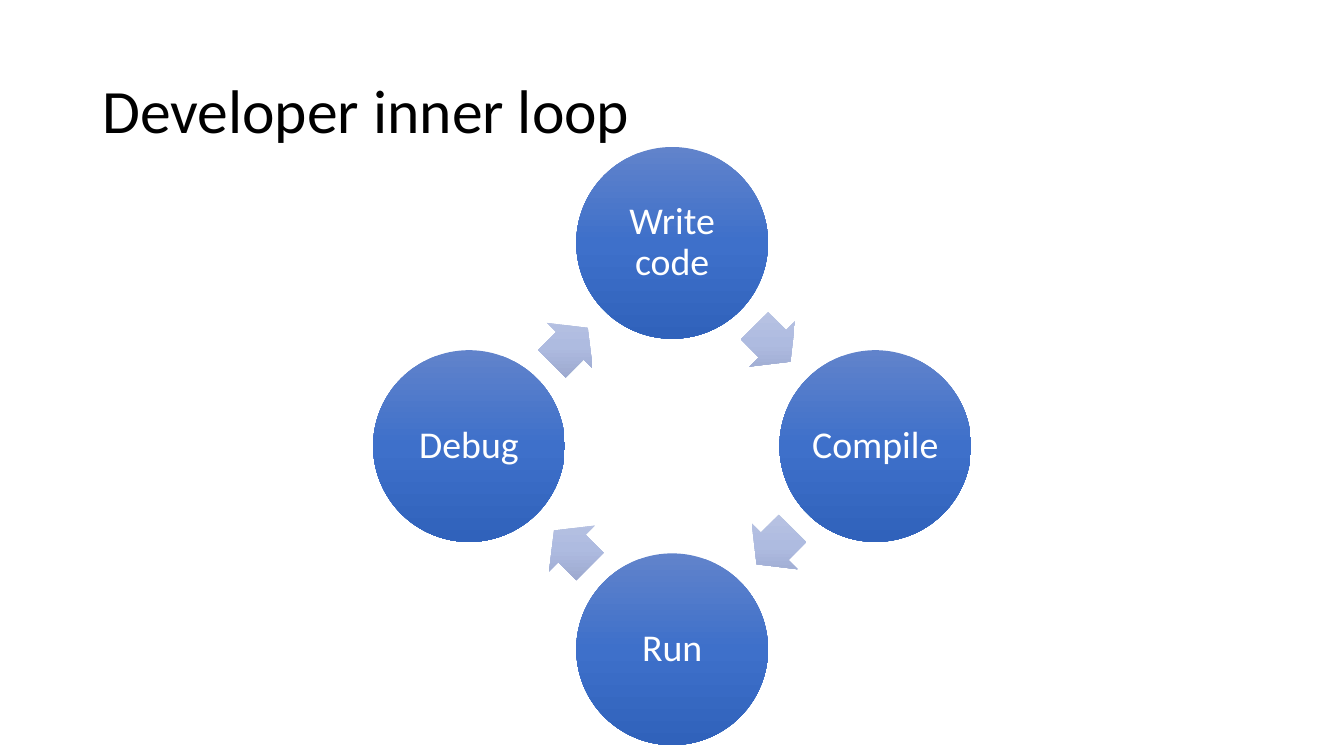
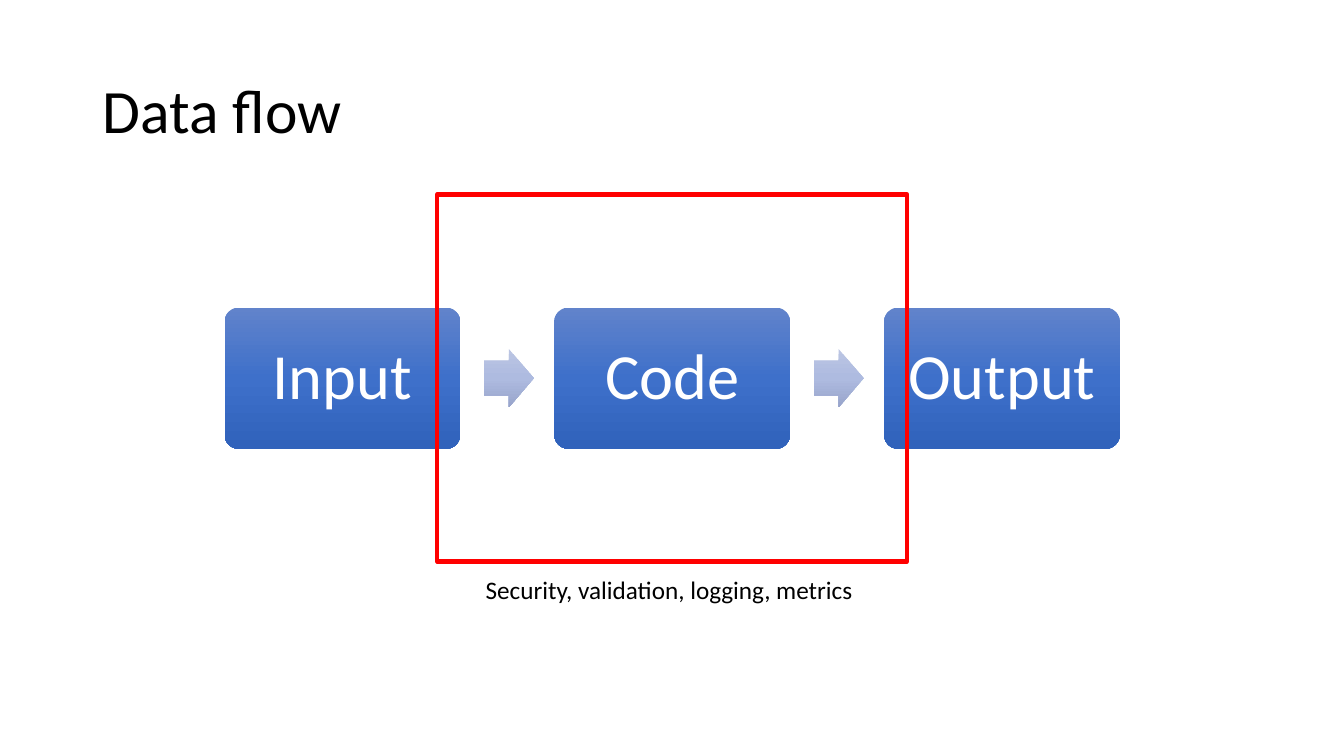
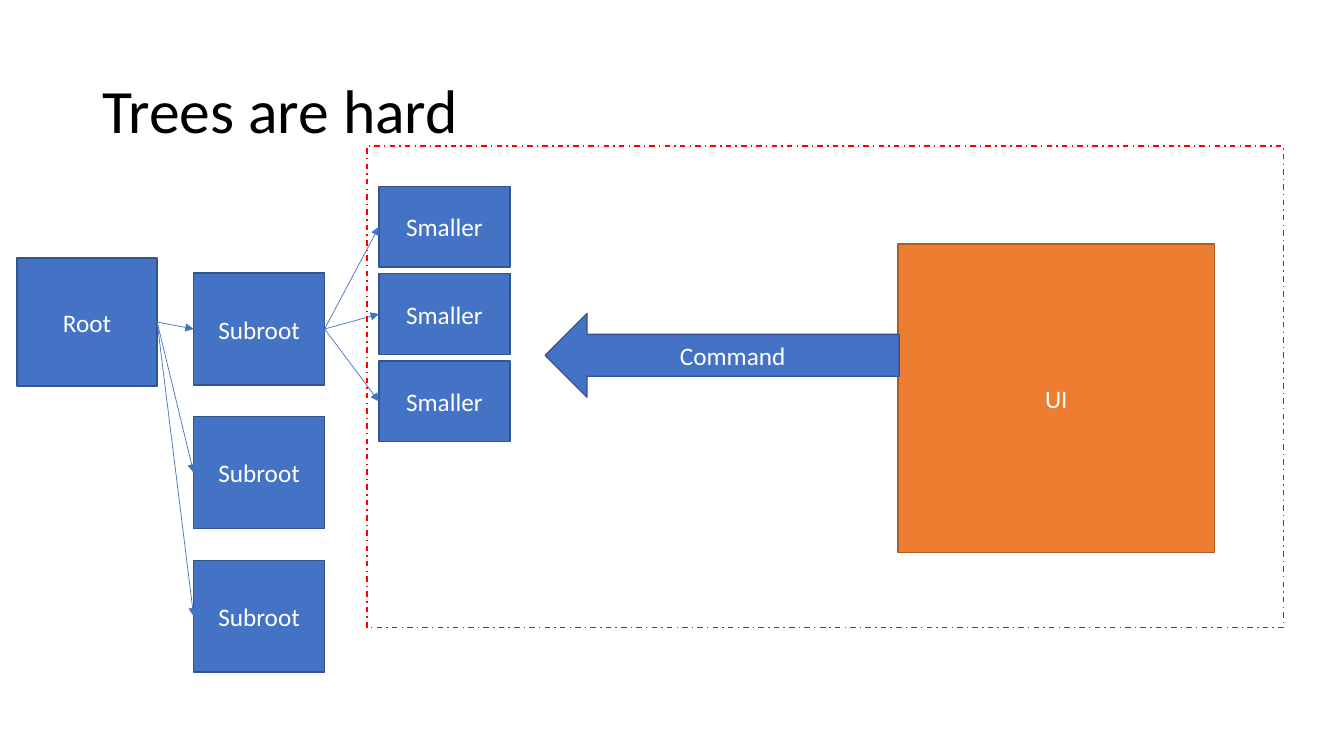
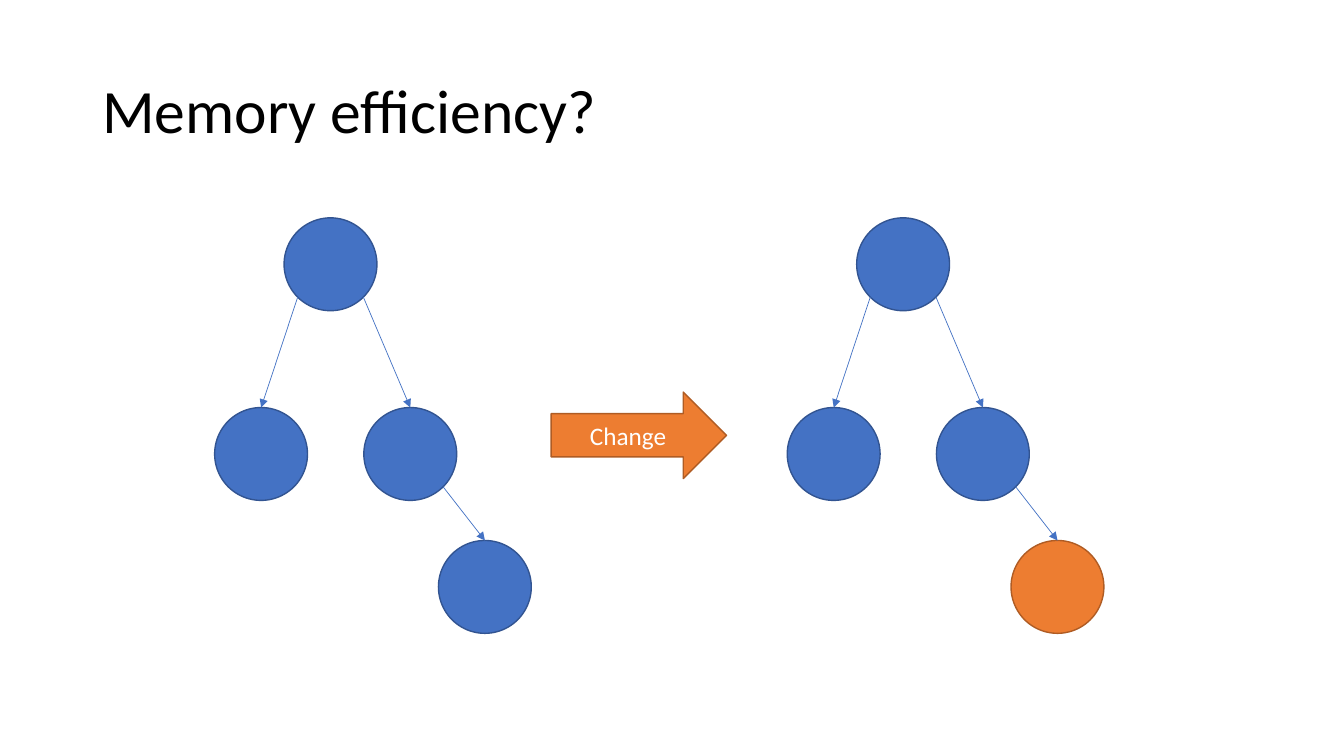
from copy import deepcopy
from math import cos, radians, sin, sqrt

from pptx import Presentation
from pptx.dml.color import RGBColor
from pptx.enum.dml import MSO_LINE_DASH_STYLE as DASH
from pptx.enum.shapes import MSO_CONNECTOR as CONN
from pptx.enum.shapes import MSO_SHAPE as SHAPE
from pptx.enum.text import MSO_ANCHOR as ANCHOR
from pptx.enum.text import PP_ALIGN as ALIGN
from pptx.oxml.ns import qn
from pptx.oxml.xmlchemy import OxmlElement
from pptx.util import Cm, Pt

FONT = "Calibri"
BLACK, WHITE, RED = "000000", "FFFFFF", "FF0000"
BLUE, BLUE_EDGE = "4472C4", "325491"
ORANGE, ORANGE_EDGE = "ED7D31", "AF5C24"
NODE_SHADES = ["6183CB", "3E70CA", "3062BB"]
ARROW_SHADES = ["BBC5E3", "AEBBE0", "98A4CB"]


def rgb(value):
    return RGBColor.from_string(value)


def write(tf, text, size, color, align=ALIGN.CENTER, spacing=1.0):
    tf.word_wrap = True
    p = tf.paragraphs[0]
    p.text = text
    p.alignment = align
    p.line_spacing = spacing
    p.font.size = Pt(size)
    for r in p.runs:
        r.font.name = FONT
        r.font.size = Pt(size)
        r.font.color.rgb = rgb(color)


def add_text(slide, text, x, y, w, h, size, **style):
    tf = slide.shapes.add_textbox(Cm(x), Cm(y), Cm(w), Cm(h)).text_frame
    write(tf, text, size, BLACK, ALIGN.LEFT, **style)
    return tf


def new_slide(prs, title):
    slide = prs.slides.add_slide(prs.slide_layouts[6])
    tf = add_text(slide, title, 2.33, 1.01, 29.21, 3.68, 44, spacing=0.9)
    tf.vertical_anchor = ANCHOR.MIDDLE
    return slide


def add_plain(slide, kind, x, y, w, h):
    sp = slide.shapes.add_shape(kind, Cm(x), Cm(y), Cm(w), Cm(h))
    sp.shadow.inherit = False
    return sp


def add_solid(slide, kind, x, y, w, h, text="", fill=BLUE, edge=BLUE_EDGE):
    sp = add_plain(slide, kind, x, y, w, h)
    sp.fill.solid()
    sp.fill.fore_color.rgb = rgb(fill)
    sp.line.color.rgb = rgb(edge)
    sp.line.width = Pt(1)
    if text:
        write(sp.text_frame, text, 18, WHITE)
    return sp


def add_shaded(slide, kind, x, y, w, h, shades):
    sp = add_plain(slide, kind, x, y, w, h)
    sp.line.fill.background()
    sp.fill.gradient()
    sp.fill.gradient_angle = 270
    grad = sp._element.spPr.find(qn("a:gradFill"))
    grad.set("rotWithShape", "0")
    stops = grad.find(qn("a:gsLst"))
    stops.append(deepcopy(stops[0]))
    for i, stop in enumerate(sp.fill.gradient_stops):
        stop.position = i / 2
        stop.color.rgb = rgb(shades[i])
    return sp


def add_node(slide, kind, x, y, w, h, text, size, inset):
    sp = add_shaded(slide, kind, x, y, w, h, NODE_SHADES)
    tf = sp.text_frame
    tf.margin_left = tf.margin_right = Cm(inset)
    tf.margin_top = tf.margin_bottom = Cm(inset)
    write(tf, text, size, WHITE, spacing=0.9)
    return sp


def add_step_arrow(slide, x, y, w, h, angle=0):
    sp = add_shaded(slide, SHAPE.RIGHT_ARROW, x, y, w, h, ARROW_SHADES)
    sp.adjustments[0] = 0.6
    sp.rotation = angle


def add_frame(slide, x, y, w, h, width, dash=None):
    sp = add_plain(slide, SHAPE.RECTANGLE, x, y, w, h)
    sp.fill.background()
    sp.line.color.rgb = rgb(RED)
    sp.line.width = Pt(width)
    if dash:
        sp.line.dash_style = dash


def add_link(slide, x=0, y=0):
    cxn = slide.shapes.add_connector(CONN.STRAIGHT, Cm(x), Cm(y), Cm(x), Cm(y))
    cxn.line.color.rgb = rgb(BLUE)
    cxn.line.width = Pt(0.5)
    tail = OxmlElement("a:tailEnd")
    tail.set("type", "triangle")
    cxn.line._get_or_add_ln().append(tail)
    cxn._element.spPr.append(OxmlElement("a:effectLst"))
    return cxn


def add_cycle(slide, cx, cy, labels):
    radius, size = 5.12, 4.83
    arrow_radius, arrow_w, arrow_h = 3.61, 1.28, 1.63
    turn = 360 / len(labels)
    for i, label in enumerate(labels):
        angle = i * turn - 90
        x = cx + radius * cos(radians(angle))
        y = cy + radius * sin(radians(angle))
        add_node(slide, SHAPE.OVAL, x - size / 2, y - size / 2, size, size, label, 27, 0.05)
        middle = radians(angle + turn / 2 - 0.6)
        x = cx + arrow_radius * cos(middle)
        y = cy + arrow_radius * sin(middle)
        add_step_arrow(slide, x - arrow_w / 2, y - arrow_h / 2, arrow_w, arrow_h,
                       (angle + 90 + turn / 2) % 360)


def add_process(slide, x, y, labels):
    w, h, pitch = 5.94, 3.56, 8.31
    arrow_w, arrow_h = 1.26, 1.47
    for i, label in enumerate(labels):
        left = x + i * pitch
        sp = add_node(slide, SHAPE.ROUNDED_RECTANGLE, left, y, w, h, label, 46, 0.45)
        sp.adjustments[0] = 0.1
        if i < len(labels) - 1:
            add_step_arrow(slide, left + 1.1 * w, y + (h - arrow_h) / 2, arrow_w, arrow_h)


def add_column(slide, x, y, w, h, pitch, labels):
    return [add_solid(slide, SHAPE.RECTANGLE, x, y + i * pitch, w, h, label)
            for i, label in enumerate(labels)]


def add_hierarchy(slide, x, y):
    root = add_solid(slide, SHAPE.RECTANGLE, x, y + 1.8, 3.53, 3.23, "Root")
    subroots = add_column(slide, x + 4.45, y + 2.18, 3.3, 2.82, 3.62, ["Subroot"] * 3)
    leaves = add_column(slide, x + 9.12, y, 3.3, 2.03, 2.2, ["Smaller"] * 3)
    for parent, children in ((root, subroots), (subroots[0], leaves)):
        for child in children:
            cxn = add_link(slide)
            cxn.begin_connect(parent, 3)
            cxn.end_connect(child, 1)


def add_circle_tree(slide, x, y, leaf_colors):
    size = 2.34
    places = {"top": (1.75, 0), "left": (0, 4.78), "right": (3.76, 4.78), "leaf": (5.64, 8.13)}
    circles = {}
    for name, (dx, dy) in places.items():
        colors = leaf_colors if name == "leaf" else (BLUE, BLUE_EDGE)
        circles[name] = add_solid(slide, SHAPE.OVAL, x + dx, y + dy, size, size,
                                  fill=colors[0], edge=colors[1])
    reach = size / 2 / sqrt(2)
    for parent, child, side in (("top", "right", 1), ("top", "left", -1), ("right", "leaf", 1)):
        dx, dy = places[parent]
        cxn = add_link(slide, x + dx + size / 2 + side * reach, y + dy + size / 2 + reach)
        cxn.end_connect(circles[child], 0)


def loop_slide(prs):
    slide = new_slide(prs, "Developer inner loop")
    add_cycle(slide, 16.94, 11.24, ["Write code", "Compile", "Run", "Debug"])


def flow_slide(prs):
    slide = new_slide(prs, "Data flow")
    add_process(slide, 5.66, 7.75, ["Input", "Code", "Output"])
    add_frame(slide, 11.02, 4.9, 11.84, 9.25, 3)
    add_text(slide, "Security, validation, logging, metrics", 11.99, 14.35, 9.88, 1.02, 18)


def trees_slide(prs):
    slide = new_slide(prs, "Trees are hard")
    add_hierarchy(slide, 0.43, 4.7)
    add_solid(slide, SHAPE.RECTANGLE, 22.63, 6.15, 7.98, 7.77, "UI", ORANGE, ORANGE_EDGE)
    add_solid(slide, SHAPE.LEFT_ARROW, 13.74, 7.9, 8.92, 2.11, "Command")
    add_frame(slide, 9.25, 3.68, 23.09, 12.14, 1, DASH.DASH_DOT)


def memory_slide(prs):
    slide = new_slide(prs, "Memory efficiency?")
    add_circle_tree(slide, 5.41, 5.49, (BLUE, BLUE_EDGE))
    add_circle_tree(slide, 19.84, 5.49, (ORANGE, ORANGE_EDGE))
    add_solid(slide, SHAPE.RIGHT_ARROW, 13.89, 9.88, 4.42, 2.18, "Change", ORANGE, ORANGE_EDGE)


def main():
    prs = Presentation()
    prs.slide_width, prs.slide_height = Cm(33.87), Cm(19.05)
    for build in (loop_slide, flow_slide, trees_slide, memory_slide):
        build(prs)
    prs.save("out.pptx")


if __name__ == "__main__":
    main()
